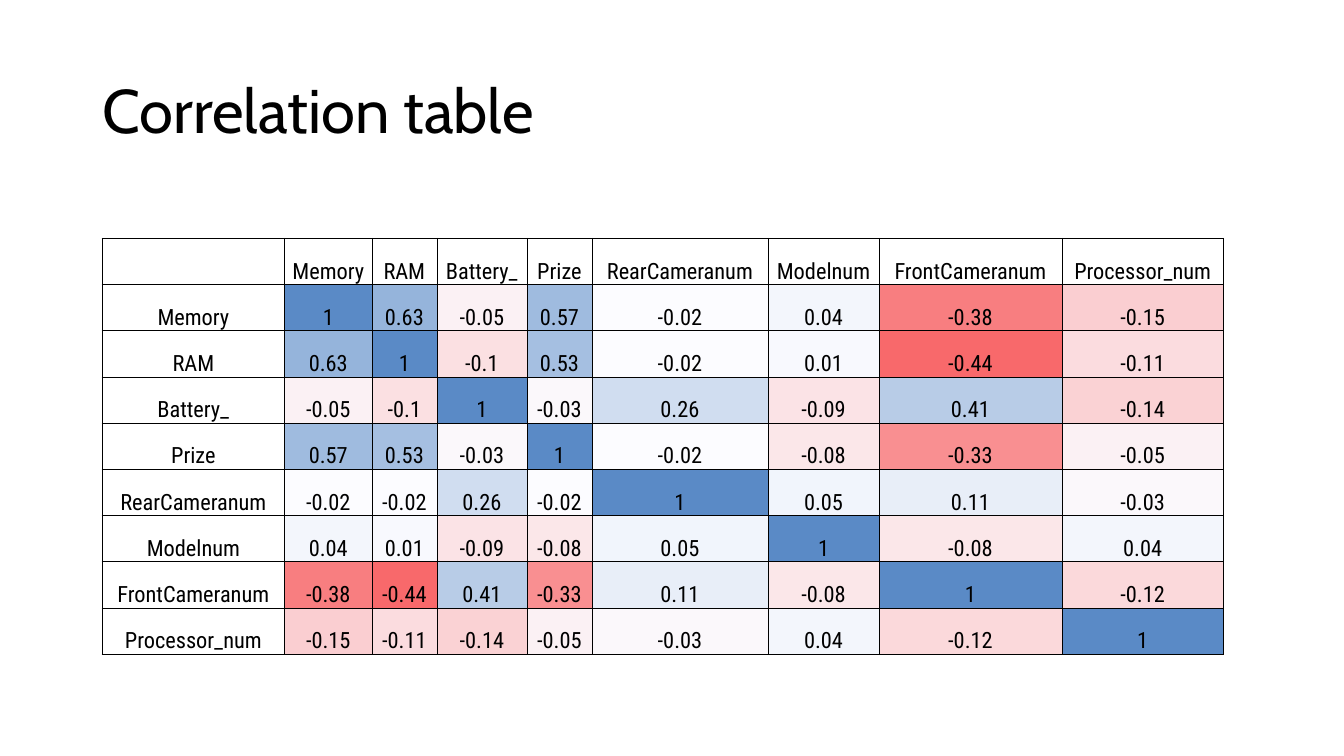
from typing import NamedTuple

from pptx import Presentation
from pptx.dml.color import RGBColor
from pptx.enum.text import MSO_ANCHOR, PP_ALIGN
from pptx.oxml import parse_xml
from pptx.oxml.ns import nsdecls
from pptx.util import Inches, Pt

BLACK = RGBColor(0x00, 0x00, 0x00)
WHITE = RGBColor(0xFF, 0xFF, 0xFF)
LOW_RED = RGBColor(0xF8, 0x69, 0x6B)
MID_PALE = RGBColor(0xFC, 0xFC, 0xFF)
HIGH_BLUE = RGBColor(0x5A, 0x8A, 0xC6)

SLIDE_W, SLIDE_H = Inches(13.333), Inches(7.5)
LOW, MID, HIGH = -0.44, -0.02, 1
BORDER_WIDTH = Pt(0.5)


class Feature(NamedTuple):
    name: str
    width: float
    scores: tuple[float, ...]


LABEL_WIDTH = 13.6
FEATURES = [
    Feature("Memory", 6.48, (1,)),
    Feature("RAM", 4.84, (0.63, 1)),
    Feature("Battery_", 6.7, (-0.05, -0.1, 1)),
    Feature("Prize", 4.84, (0.57, 0.53, -0.03, 1)),
    Feature("RearCameranum", 13.1, (-0.02, -0.02, 0.26, -0.02, 1)),
    Feature("Modelnum", 8.26, (0.04, 0.01, -0.09, -0.08, 0.05, 1)),
    Feature("FrontCameranum", 13.61, (-0.38, -0.44, 0.41, -0.33, 0.11, -0.08, 1)),
    Feature("Processor_num", 12.02, (-0.15, -0.11, -0.14, -0.05, -0.03, 0.04, -0.12, 1)),
]


def across(percent: float) -> int:
    return round(SLIDE_W * percent / 100)


def down(percent: float) -> int:
    return round(SLIDE_H * percent / 100)


def score_color(score: float) -> RGBColor:
    if score < MID:
        start, end, share = LOW_RED, MID_PALE, (score - LOW) / (MID - LOW)
    else:
        start, end, share = MID_PALE, HIGH_BLUE, (score - MID) / (HIGH - MID)
    return RGBColor(*(a + int(round(share * (b - a), 6)) for a, b in zip(start, end)))


def write(tf, text: str, *, font: str, size: float, align=PP_ALIGN.LEFT, spacing: float = 1.0) -> None:
    p = tf.paragraphs[0]
    p.alignment = align
    p.line_spacing = spacing
    r = p.add_run()
    r.text = text
    r.font.name = font
    r.font.size = Pt(size)
    r.font.color.rgb = BLACK


def add_borders(cell) -> None:
    tc_pr = cell._tc.get_or_add_tcPr()
    for side in ("lnL", "lnR", "lnT", "lnB"):
        tc_pr.append(parse_xml(
            f'<a:{side} {nsdecls("a")} w="{BORDER_WIDTH}"><a:solidFill>'
            f'<a:srgbClr val="{BLACK}"/></a:solidFill></a:{side}>'
        ))


def fill_cell(cell, text: str, fill: RGBColor = WHITE) -> None:
    cell.margin_left = cell.margin_right = across(0.07)
    cell.margin_top, cell.margin_bottom = down(0.13), 0
    cell.vertical_anchor = MSO_ANCHOR.BOTTOM
    add_borders(cell)
    cell.fill.solid()
    cell.fill.fore_color.rgb = fill
    if text:
        write(cell.text_frame, text, font="Roboto Condensed", size=16, align=PP_ALIGN.CENTER)


def add_title(slide, text: str) -> None:
    sp = slide.shapes.add_textbox(across(6.9), down(5.33), across(86.25), down(19.33))
    tf = sp.text_frame
    tf.word_wrap = True
    tf.vertical_anchor = MSO_ANCHOR.MIDDLE
    write(tf, text, font="Cabin", size=44, spacing=0.9)


def add_correlation_table(slide, features: list[Feature]) -> None:
    widths = [LABEL_WIDTH, *(f.width for f in features)]
    count = len(widths)
    table = slide.shapes.add_table(
        count, count, across(7.59), down(31.5), across(sum(widths)), down(55.07)
    ).table
    table.first_row = table.horz_banding = False
    for column, width in zip(table.columns, widths):
        column.width = across(width)

    fill_cell(table.cell(0, 0), "")
    for i, feature in enumerate(features, start=1):
        fill_cell(table.cell(0, i), feature.name)
        fill_cell(table.cell(i, 0), feature.name)
        for j, score in enumerate(feature.scores, start=1):
            for row, col in {(i, j), (j, i)}:
                fill_cell(table.cell(row, col), f"{score:g}", score_color(score))


def main() -> None:
    prs = Presentation()
    prs.slide_width, prs.slide_height = SLIDE_W, SLIDE_H
    slide = prs.slides.add_slide(prs.slide_layouts[6])
    add_title(slide, "Correlation table")
    add_correlation_table(slide, FEATURES)
    prs.save("out.pptx")


if __name__ == "__main__":
    main()
